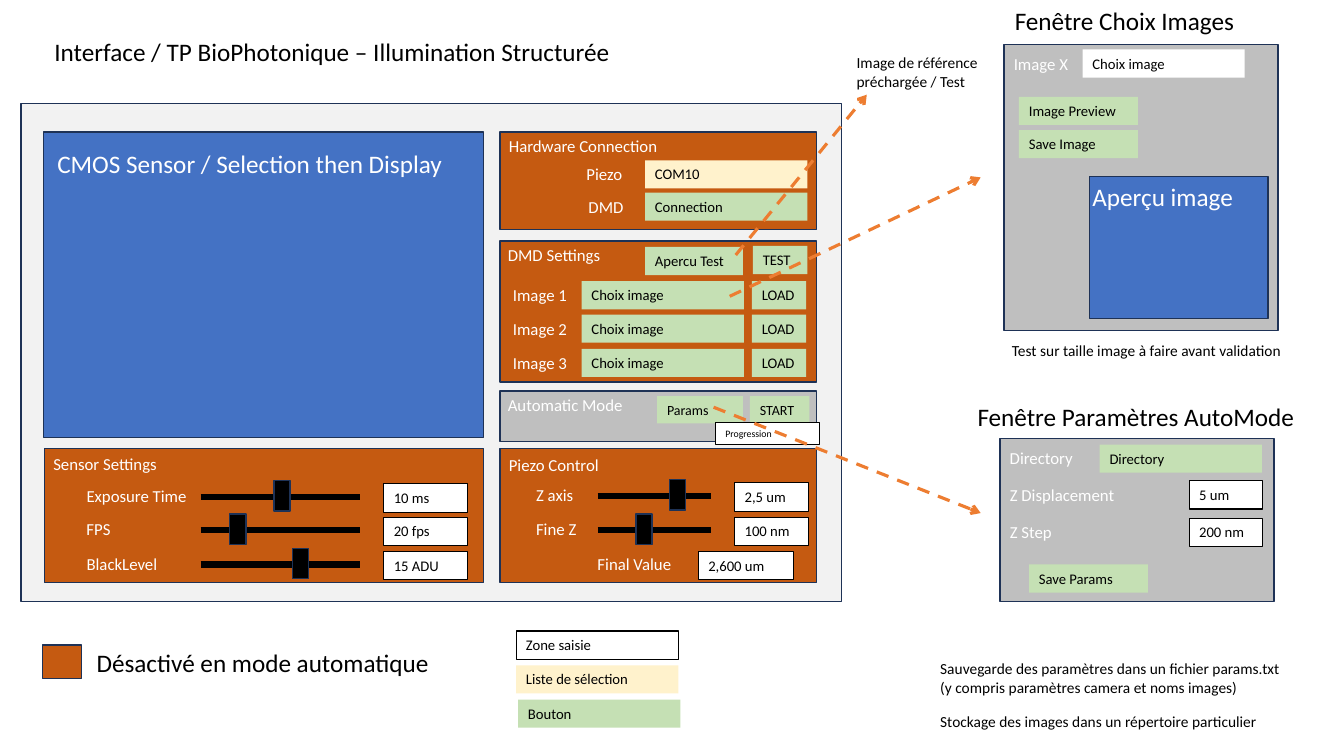
from lxml import etree
from pptx import Presentation
from pptx.dml.color import RGBColor
from pptx.enum.dml import MSO_LINE
from pptx.enum.shapes import MSO_CONNECTOR, MSO_SHAPE
from pptx.enum.text import MSO_ANCHOR, MSO_AUTO_SIZE, PP_ALIGN
from pptx.oxml.ns import qn
from pptx.util import Cm, Pt

RECTANGLE = MSO_SHAPE.RECTANGLE
STRAIGHT = MSO_CONNECTOR.STRAIGHT
DASH = MSO_LINE.DASH
LEFT = PP_ALIGN.LEFT
TOP = MSO_ANCHOR.TOP
FIT_SHAPE = MSO_AUTO_SIZE.SHAPE_TO_FIT_TEXT

BLACK, WHITE = "000000", "FFFFFF"
NAVY, BLUE, RUST, ORANGE = "1E3256", "4472C4", "C55A11", "ED7D31"
PALE, GREY = "F2F2F2", "BFBFBF"
BUTTON, CHOICE = "C5E0B4", "FFF2CC"


def color(hex_text):
    return RGBColor.from_string(hex_text)


def inches(*values):
    return [Cm(value * 2.54) for value in values]


def assign(target, values):
    for name, value in values.items():
        setattr(target, name, value)


class Mockup:
    font = "Calibri"

    def __init__(self, page):
        self.page = page

    def fill(self, shape, fill, line=None, width=1):
        shape.fill.solid()
        shape.fill.fore_color.rgb = color(fill)
        if line:
            shape.line.color.rgb = color(line)
            shape.line.width = Pt(width)
        else:
            shape.line.fill.background()

    def panel(self, x, y, width, height, fill):
        shape = self.page.shapes.add_shape(RECTANGLE, *inches(x, y, width, height))
        shape.shadow.inherit = False
        self.fill(shape, fill, NAVY)

    def text(self, text, x, y, width, height=0.3, size=12, ink=WHITE, wrap=False):
        box = self.page.shapes.add_textbox(*inches(x, y, width, height))
        frame = box.text_frame
        frame.text = text
        assign(frame, {"word_wrap": wrap, "auto_size": FIT_SHAPE, "vertical_anchor": TOP})
        for para in frame.paragraphs:
            para.alignment = LEFT
            for span in para.runs:
                assign(span.font, {"name": self.font, "size": Pt(size)})
                span.font.color.rgb = color(ink)
        return box

    def heading(self, text, x, y, width, ink=BLACK):
        self.text(text, x, y, width, 0.4, 18, ink)

    def note(self, text, x, y, width, height=0.29):
        self.text(text, x, y, width, height, 11, BLACK)

    def field(self, text, x, y, width, fill=BUTTON, line=None, size=10.5, height=0.28):
        box = self.text(text, x, y, width, height, size, BLACK, True)
        self.fill(box, fill, line, 0.75)

    def entry(self, text, x, y, width, **options):
        self.field(text, x, y, width, WHITE, BLACK, **options)

    def line(self, start, end, ink, width):
        line = self.page.shapes.add_connector(STRAIGHT, *inches(*start, *end))
        line.line.color.rgb = color(ink)
        line.line.width = Pt(width)
        etree.SubElement(line._element.spPr, qn("a:effectLst"))
        return line

    def arrow(self, start, end):
        arrow = self.line(start, end, ORANGE, 2.25)
        arrow.line.dash_style = DASH
        tail = etree.SubElement(arrow.line._get_or_add_ln(), qn("a:tailEnd"))
        tail.set("type", "arrow")

    def slider(self, y, label, label_x, label_width, track, knob_x, value, value_x, value_width):
        self.line((track[0], y + 0.16), (track[1], y + 0.16), BLACK, 4.5)
        self.entry(value, value_x, y + 0.03, value_width)
        self.panel(knob_x, y, 0.16, 0.3, BLACK)
        self.text(label, label_x, y, label_width)


deck = Presentation()
assign(deck, {"slide_width": Cm(33.87), "slide_height": Cm(19.05)})
mockup = Mockup(deck.slides.add_slide(deck.slide_layouts[6]))

mockup.heading("Interface / TP BioPhotonique – Illumination Structurée", 0.44, 0.31, 5.78)
mockup.panel(0.21, 1.03, 8.14, 4.94, PALE)
mockup.panel(0.43, 1.31, 4.37, 3.03, BLUE)
mockup.heading("CMOS Sensor / Selection then Display", 0.47, 1.42, 4.07, WHITE)

mockup.panel(0.44, 4.45, 4.36, 1.33, RUST)
mockup.text("Sensor Settings", 0.43, 4.45, 1.25)
sensor_sliders = [
    (4.77, "Exposure Time", 1.21, 2.72, "10 ms"),
    (5.1, "FPS", 0.44, 2.28, "20 fps"),
    (5.44, "BlackLevel", 0.91, 2.9, "15 ADU"),
]
for y, label, width, knob_x, value in sensor_sliders:
    mockup.slider(y, label, 0.76, width, (1.99, 3.57), knob_x, value, 3.81, 0.83)

mockup.panel(4.96, 4.45, 3.14, 1.33, RUST)
mockup.text("Piezo Control", 4.95, 4.46, 1.11)
piezo_sliders = [
    (4.76, "Z axis", 0.58, 6.64, "2,5 um"),
    (5.1, "Fine Z", 0.61, 6.31, "100 nm"),
]
for y, label, width, knob_x, value in piezo_sliders:
    mockup.slider(y, label, 5.22, width, (5.93, 7.05), knob_x, value, 7.29, 0.73)
mockup.entry("2,600 um", 6.93, 5.47, 0.94)
mockup.text("Final Value", 5.83, 5.44, 0.94)

mockup.panel(4.96, 1.31, 3.14, 0.97, RUST)
mockup.text("Hardware Connection", 4.95, 1.3, 1.69)
mockup.text("Piezo", 5.72, 1.58, 0.56)
mockup.field("COM10", 6.4, 1.59, 1.61, CHOICE)
mockup.text("DMD", 5.74, 1.9, 0.55)
mockup.field("Connection", 6.4, 1.91, 1.61)

mockup.panel(4.96, 2.39, 3.14, 1.4, RUST)
mockup.text("DMD Settings", 4.94, 2.38, 1.13)
mockup.field("Apercu Test", 6.4, 2.45, 0.97)
mockup.field("TEST", 7.47, 2.44, 0.54)
for number, y in enumerate((2.79, 3.12, 3.46), 1):
    mockup.text(f"Image {number}", 4.99, y - 0.01, 0.75)
    mockup.field("Choix image", 5.77, y, 1.61)
    mockup.field("LOAD", 7.46, y, 0.54)

mockup.panel(4.96, 3.88, 3.14, 0.5, GREY)
mockup.text("Automatic Mode", 4.94, 3.87, 1.36)
mockup.field("START", 7.44, 3.93, 0.59, size=10)
mockup.field("Params", 6.52, 3.93, 0.85, size=10, height=0.27)
mockup.entry("Progression", 7.1, 4.19, 1.03, size=7, height=0.22)

mockup.heading("Fenêtre Choix Images", 9.97, 0, 2.4)
mockup.panel(9.96, 0.44, 2.72, 2.84, GREY)
mockup.text("Image X", 9.96, 0.48, 0.75)
mockup.field("Choix image", 10.74, 0.49, 1.61, WHITE)
mockup.field("Image Preview", 10.11, 0.96, 1.18)
mockup.field("Save Image", 10.11, 1.29, 1.18)
mockup.panel(10.81, 1.75, 1.77, 1.41, BLUE)
mockup.heading("Aperçu image", 10.74, 1.75, 1.61, WHITE)
mockup.note("Test sur taille image à faire avant validation", 9.94, 3.33, 2.92)

mockup.heading("Fenêtre Paramètres AutoMode", 9.6, 3.93, 3.38)
mockup.panel(9.92, 4.35, 2.72, 1.62, GREY)
mockup.text("Directory", 9.92, 4.39, 0.83)
mockup.field("Directory", 10.91, 4.41, 1.61)
for label, width, value, y in [("Z Displacement", 1.25, "5 um", 4.76), ("Z Step", 0.62, "200 nm", 5.13)]:
    mockup.text(label, 9.92, y, width)
    mockup.entry(value, 11.8, y + 0.01, 0.73)
mockup.field("Save Params", 10.21, 5.6, 1.18)

mockup.panel(0.42, 6.4, 0.39, 0.33, RUST)
mockup.heading("Désactivé en mode automatique", 0.86, 6.37, 3.54)
mockup.entry("Zone saisie", 5.12, 6.26, 1.61)
mockup.field("Liste de sélection", 5.12, 6.6, 1.61, CHOICE)
mockup.field("Bouton", 5.14, 6.94, 1.61)

mockup.note("Image de référence\npréchargée / Test", 8.4, 0.48, 1.42, 0.47)
mockup.note(
    "Sauvegarde des paramètres dans un fichier params.txt\v(y compris paramètres camera et noms images)",
    9.23, 6.49, 3.6, 0.47,
)
mockup.note("Stockage des images dans un répertoire particulier", 9.23, 7.02, 3.37)

mockup.arrow((7.24, 2.94), (9.73, 1.76))
mockup.arrow((7.3, 2.53), (8.6, 0.94))
mockup.arrow((7.08, 4.04), (9.73, 5.09))

deck.save("out.pptx")
